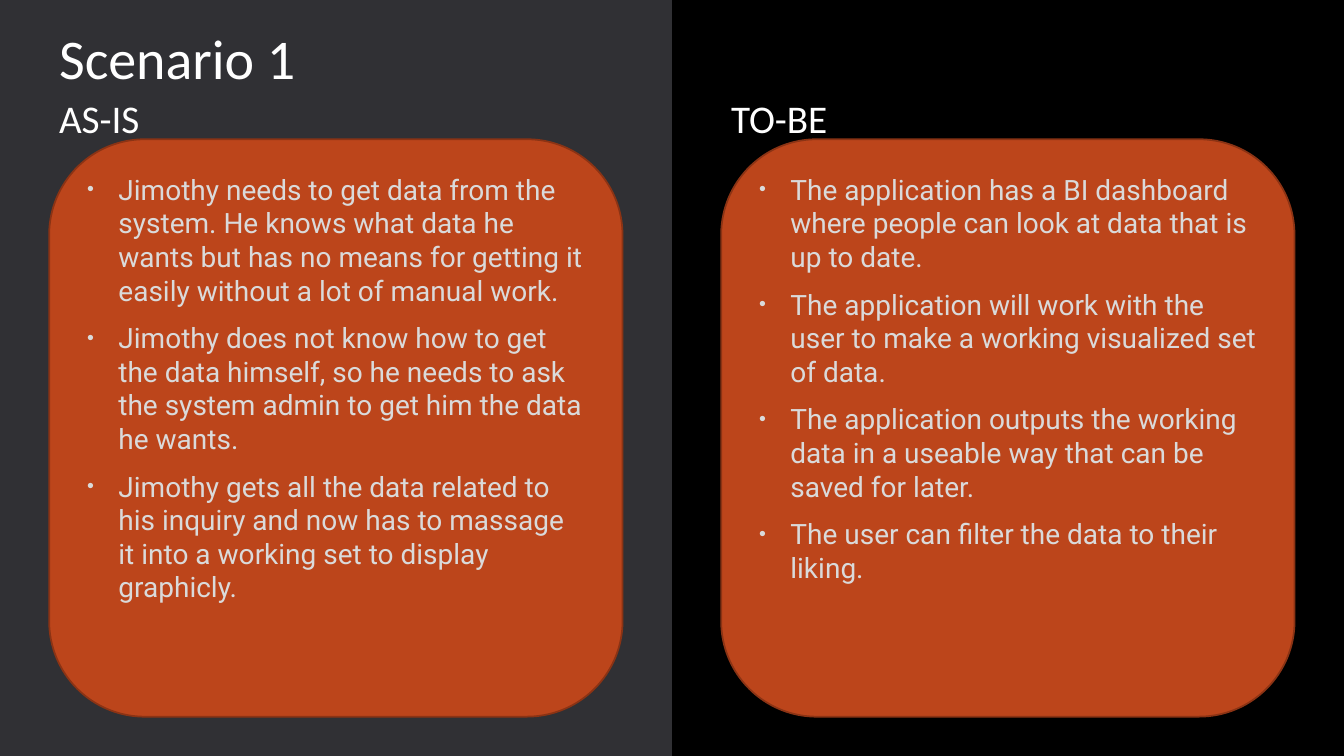
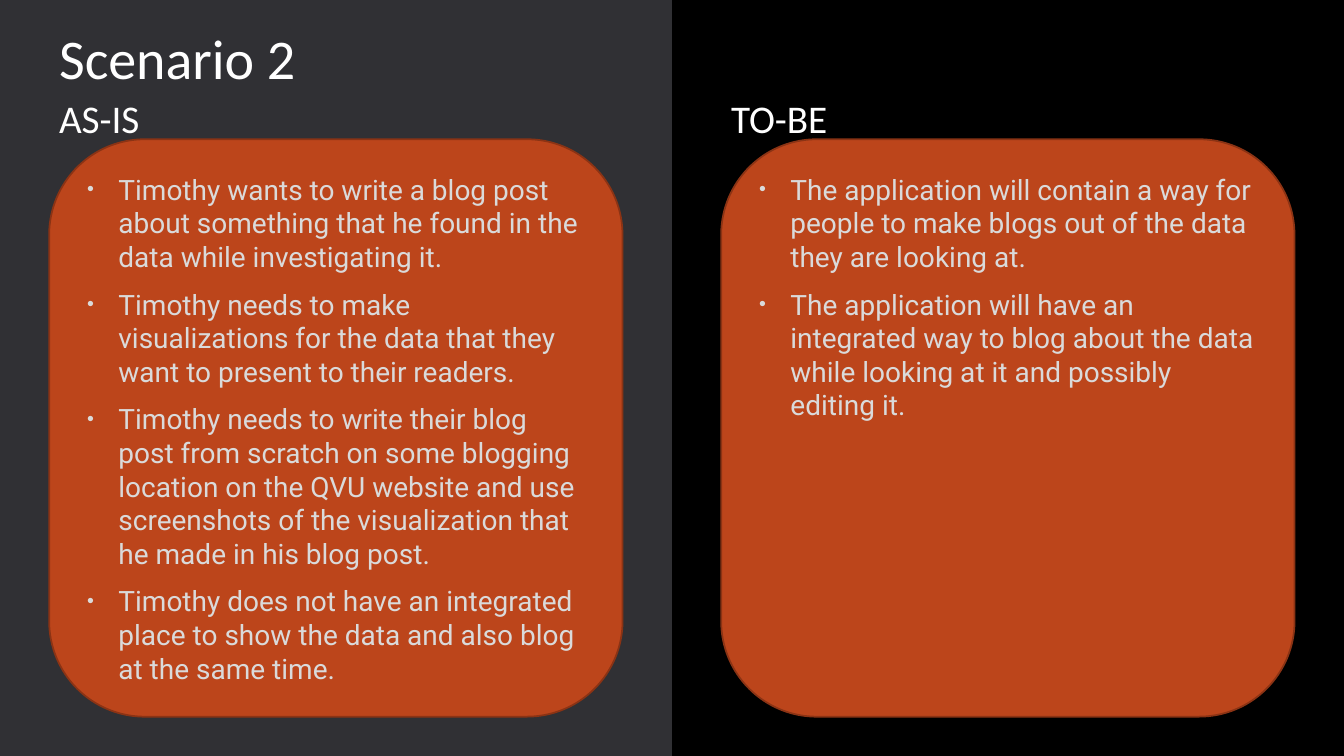
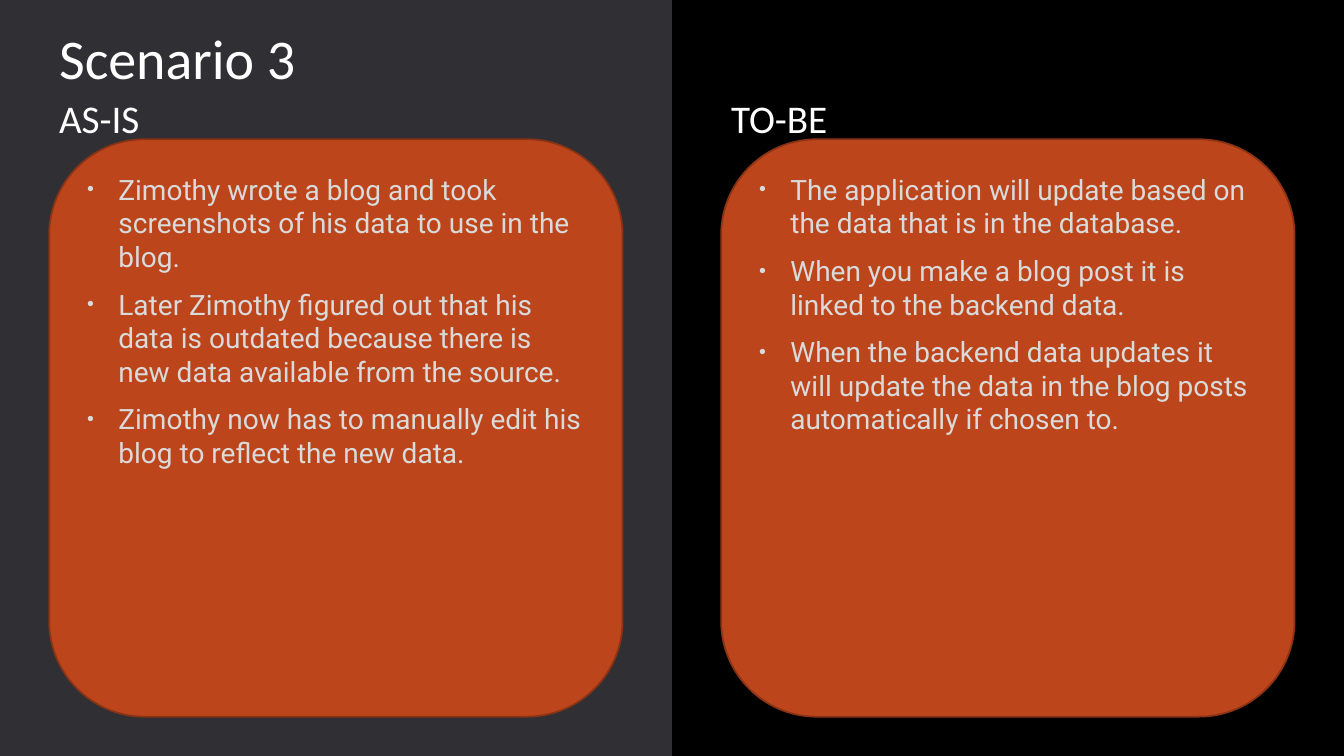
from lxml import etree
from pptx import Presentation
from pptx.dml.color import RGBColor
from pptx.enum.shapes import MSO_SHAPE
from pptx.enum.text import MSO_ANCHOR, MSO_AUTO_SIZE, PP_ALIGN
from pptx.oxml.ns import qn
from pptx.util import Cm, Pt

RECTANGLE = MSO_SHAPE.RECTANGLE
ROUNDED = MSO_SHAPE.ROUNDED_RECTANGLE
TOP = MSO_ANCHOR.TOP
LEFT = PP_ALIGN.LEFT
FIT_SHAPE = MSO_AUTO_SIZE.SHAPE_TO_FIT_TEXT

COLORS = {
    "background": "000000",
    "band": "36363A",
    "panel": "BC451B",
    "panel_line": "8B3314",
    "body": "DADADA",
    "body_outline": "404040",
    "heading": "FFFFFF",
}
HEADING_FONT = "Calibri"
BODY_FONT = "Roboto"

PAGE_WIDTH, PAGE_HEIGHT = 33.87, 19.05
HALF = PAGE_WIDTH / 2
MARGIN = 1.24
PANEL_TOP, PANEL_WIDTH, PANEL_HEIGHT = 3.51, 14.45, 14.55
BULLET_INDENT = 0.79
COLUMNS = [("AS-IS", MARGIN, 3.12), ("TO-BE", MARGIN + HALF, 3.4)]

SCENARIOS = [
    (
        "Scenario 1",
        [
            [
                "Jimothy needs to get data from the system. He knows what data he wants "
                "but has no means for getting it easily without a lot of manual work.",
                "Jimothy does not know how to get the data himself, so he needs to ask "
                "the system admin to get him the data he wants.",
                "Jimothy gets all the data related to his inquiry and now has to massage "
                "it into a working set to display graphicly.",
            ],
            [
                "The application has a BI dashboard where people can look at data that "
                "is up to date.",
                "The application will work with the user to make a working visualized "
                "set of data.",
                "The application outputs the working data in a useable way that can be "
                "saved for later.",
                "The user can filter the data to their liking.",
            ],
        ],
    ),
    (
        "Scenario 2",
        [
            [
                "Timothy wants to write a blog post about something that he found in the "
                "data while investigating it.",
                "Timothy needs to make visualizations for the data that they want to "
                "present to their readers.",
                "Timothy needs to write their blog post from scratch on some blogging "
                "location on the QVU website and use screenshots of the visualization "
                "that he made in his blog post.",
                "Timothy does not have an integrated place to show the data and also "
                "blog at the same time.",
            ],
            [
                "The application will contain a way for people to make blogs out of the "
                "data they are looking at.",
                "The application will have an integrated way to blog about the data "
                "while looking at it and possibly editing it.",
            ],
        ],
    ),
    (
        "Scenario 3",
        [
            [
                "Zimothy wrote a blog and took screenshots of his data to use in the blog.",
                "Later Zimothy figured out that his data is outdated because there is "
                "new data available from the source.",
                "Zimothy now has to manually edit his blog to reflect the new data.",
            ],
            [
                "The application will update based on the data that is in the database.",
                "When you make a blog post it is linked to the backend data.",
                "When the backend data updates it will update the data in the blog posts "
                "automatically if chosen to.",
            ],
        ],
    ),
]


def rgb(name):
    return RGBColor.from_string(COLORS[name])


def add_child(parent, tag, **attributes):
    return etree.SubElement(parent, qn(tag), attributes)


def add_filled_shape(page, kind, left, top, width, height, color):
    shape = page.shapes.add_shape(kind, Cm(left), Cm(top), Cm(width), Cm(height))
    shape.shadow.inherit = False
    shape.fill.solid()
    shape.fill.fore_color.rgb = rgb(color)
    return shape


def add_span(para, text, font, size, color):
    span = para.add_run()
    span.text = text
    span.font.name = font
    span.font.size = Pt(size)
    span.font.color.rgb = rgb(color)
    return span


def outline_span(span):
    properties = span.font._element
    line = add_child(properties, "a:ln", w=str(Pt(0.75)))
    color = add_child(add_child(line, "a:solidFill"), "a:srgbClr", val=COLORS["body_outline"])
    add_child(color, "a:alpha", val="10000")
    properties.insert(0, line)


def set_bullet(para):
    properties = para._p.get_or_add_pPr()
    properties.set("marL", str(Cm(BULLET_INDENT)))
    properties.set("indent", str(-Cm(BULLET_INDENT)))
    color = add_child(properties, "a:buClr")
    add_child(color, "a:srgbClr", val=COLORS["body"])
    add_child(properties, "a:buSzPct", val="70000")
    add_child(properties, "a:buFont", typeface="Arial")
    add_child(properties, "a:buChar", char="•")


def add_band(page):
    band = add_filled_shape(page, RECTANGLE, 0, 0, HALF, PAGE_HEIGHT, "band")
    band.line.fill.background()
    color = band.fill._xPr.find(qn("a:solidFill")).find(qn("a:srgbClr"))
    add_child(color, "a:alpha", val="90000")


def add_panel(page, left, points):
    panel = add_filled_shape(
        page, ROUNDED, left, PANEL_TOP, PANEL_WIDTH, PANEL_HEIGHT, "panel"
    )
    panel.line.color.rgb = rgb("panel_line")
    panel.line.width = Pt(1.25)
    frame = panel.text_frame
    frame.word_wrap = True
    frame.vertical_anchor = TOP
    for index, point in enumerate(points):
        para = frame.add_paragraph() if index else frame.paragraphs[0]
        para.alignment = LEFT
        para.space_before = Pt(4)
        para.space_after = Pt(6)
        set_bullet(para)
        outline_span(add_span(para, point, BODY_FONT, 20, "body"))


def add_heading(page, text, left, top, width, height, size):
    box = page.shapes.add_textbox(Cm(left), Cm(top), Cm(width), Cm(height))
    frame = box.text_frame
    frame.word_wrap = False
    frame.auto_size = FIT_SHAPE
    add_span(frame.paragraphs[0], text, HEADING_FONT, size, "heading")


def add_scenario(deck, title, column_points):
    page = deck.slides.add_slide(deck.slide_layouts[6])
    page.background.fill.solid()
    page.background.fill.fore_color.rgb = rgb("background")
    add_band(page)
    for (_, left, _), points in zip(COLUMNS, column_points):
        add_panel(page, left, points)
    add_heading(page, title, MARGIN, 0.48, 7.29, 1.96, 40)
    for label, left, width in COLUMNS:
        add_heading(page, label, left, 2.24, width, 1.45, 28)


def main():
    deck = Presentation()
    deck.slide_width = Cm(PAGE_WIDTH)
    deck.slide_height = Cm(PAGE_HEIGHT)
    for title, column_points in SCENARIOS:
        add_scenario(deck, title, column_points)
    deck.save("out.pptx")


if __name__ == "__main__":
    main()
